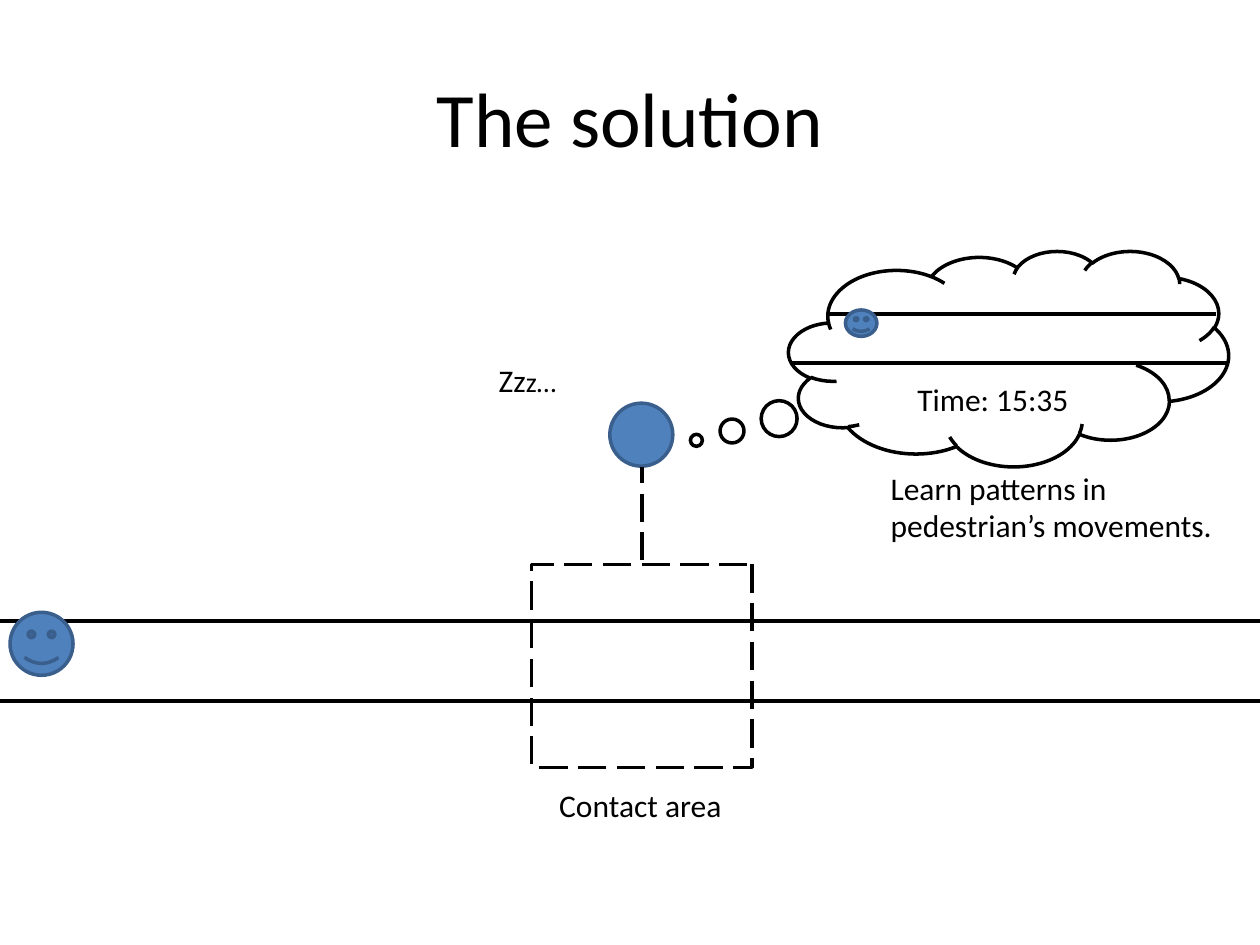
"""Builds the slide on learning pedestrian movement patterns."""
from pptx import Presentation
from pptx.dml.color import RGBColor
from pptx.enum.dml import MSO_LINE
from pptx.enum.shapes import MSO_CONNECTOR, MSO_SHAPE
from pptx.enum.text import MSO_ANCHOR, MSO_AUTO_SIZE, PP_ALIGN
from pptx.oxml.ns import qn
from pptx.util import Inches, Pt
from lxml.etree import SubElement

COLORS = {"ink": "000000", "paper": "FFFFFF", "blue": "4F81BD", "edge": "3A5F8C"}


class Sketch:
    """Holds the style and the current slide."""

    def __init__(self, deck):
        self.font = "Calibri"
        self.slide = deck.slides.add_slide(deck.slide_layouts[5])

    def color(self, name):
        return RGBColor.from_string(COLORS[name])

    def text(self, frame, runs, align=PP_ALIGN.LEFT):
        para = frame.paragraphs[0]
        para.alignment = align
        for words, size in runs:
            run = para.add_run()
            run.text = words
            run.font.name = self.font
            run.font.size = Pt(size)
            run.font.color.rgb = self.color("ink")

    def title(self, words):
        title = self.slide.shapes.title
        title.left, title.top = Inches(0.5), Inches(0.3)
        title.width, title.height = Inches(9), Inches(1.25)
        title.text_frame.vertical_anchor = MSO_ANCHOR.MIDDLE
        self.text(title.text_frame, [(words, 44)], PP_ALIGN.CENTER)

    def shape(self, kind, box, fill="blue", edge="edge", adjust=()):
        shape = self.slide.shapes.add_shape(kind, *map(Inches, box))
        shape.shadow.inherit = False
        shape.fill.solid()
        shape.fill.fore_color.rgb = self.color(fill)
        shape.line.color.rgb = self.color(edge)
        shape.line.width = Pt(2)
        for index, value in enumerate(adjust):
            shape.adjustments[index] = value
        return shape

    def line(self, left, right, y):
        line = self.slide.shapes.add_connector(
            MSO_CONNECTOR.STRAIGHT, Inches(left), Inches(y), Inches(right), Inches(y))
        line.line.color.rgb = self.color("ink")
        line.line.width = Pt(2.25)
        SubElement(line._element.spPr, qn("a:effectLst"))

    def label(self, box, runs, wrap=False):
        frame = self.slide.shapes.add_textbox(*map(Inches, box)).text_frame
        frame.word_wrap = wrap
        frame.auto_size = MSO_AUTO_SIZE.SHAPE_TO_FIT_TEXT
        self.text(frame, runs)


def main():
    deck = Presentation()
    deck.slide_width, deck.slide_height = Inches(10), Inches(7.5)
    sketch = Sketch(deck)
    sketch.title("The solution")

    sketch.shape(MSO_SHAPE.FLOWCHART_CONNECTOR, (4.84, 3.2, 0.5, 0.5))
    area = sketch.shape(MSO_SHAPE.LINE_CALLOUT_1, (4.29, 4.41, 1.61, 1.75),
                        "paper", "ink", (0.5, -0.02, 0.5, -0.48))
    area.rotation = 90
    area.line.dash_style = MSO_LINE.LONG_DASH
    for y in (4.93, 5.56):
        sketch.line(0, 10, y)
    sketch.shape(MSO_SHAPE.SMILEY_FACE, (0.08, 4.86, 0.5, 0.5))
    sketch.label((4.34, 6.19, 1.5, 0.4), [("Contact area", 18)])
    sketch.label((3.86, 2.82, 0.66, 0.4), [("Zz", 18), ("z…", 16)])

    cloud = sketch.shape(MSO_SHAPE.CLOUD_CALLOUT, (6.26, 1.99, 3.49, 1.71),
                         "paper", "ink", (-0.71, 0.38))
    cloud.text_frame.vertical_anchor = MSO_ANCHOR.BOTTOM
    sketch.text(cloud.text_frame, [("Time: 15:35", 18)], PP_ALIGN.CENTER)
    sketch.label((6.97, 3.67, 2.99, 0.71),
                 [("Learn patterns in pedestrian’s movements.", 18)], True)
    for left, right, y in ((6.57, 9.65, 2.49), (6.27, 9.75, 2.88)):
        sketch.line(left, right, y)
    sketch.shape(MSO_SHAPE.SMILEY_FACE, (6.71, 2.46, 0.25, 0.21))
    deck.save("out.pptx")


if __name__ == "__main__":
    main()
